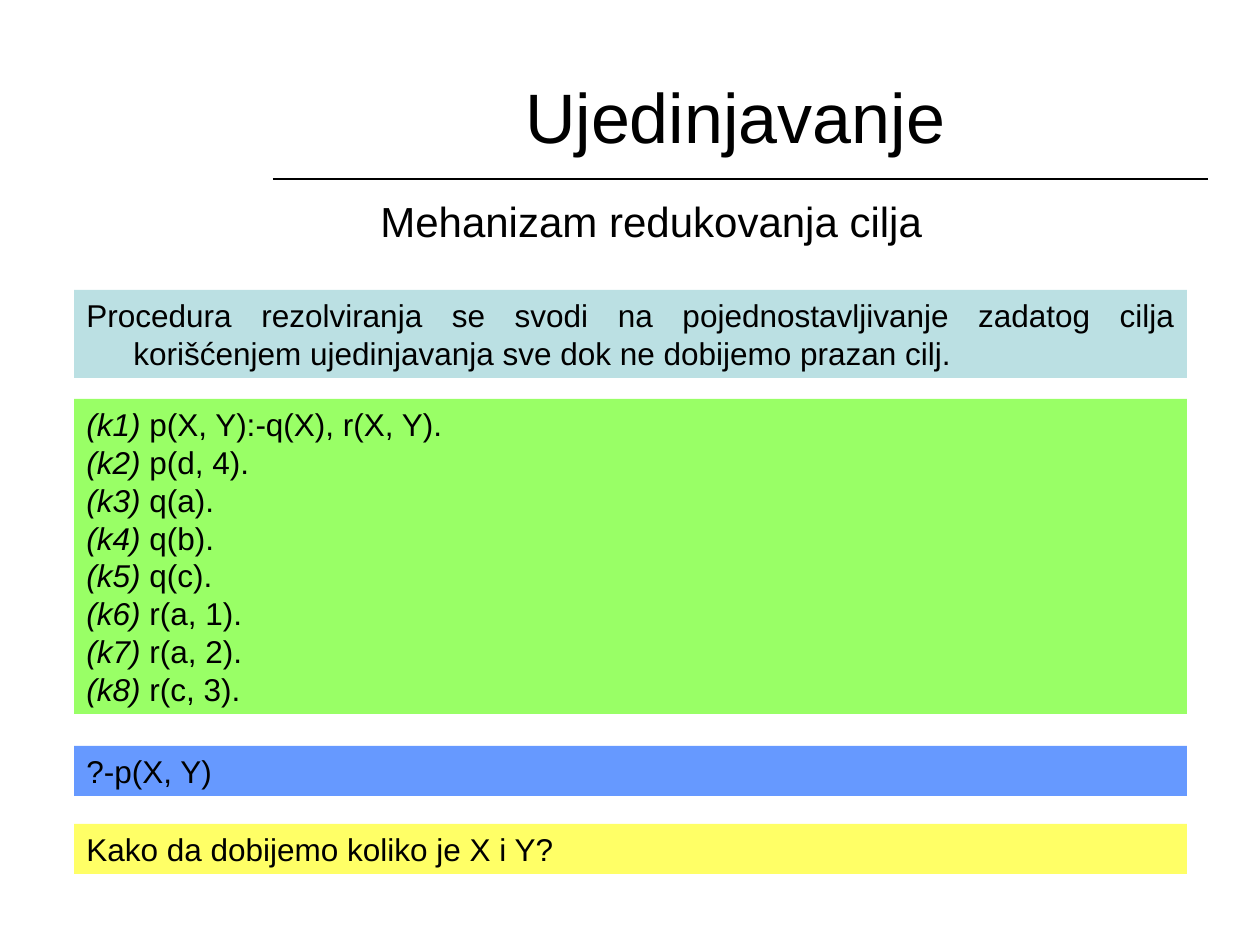
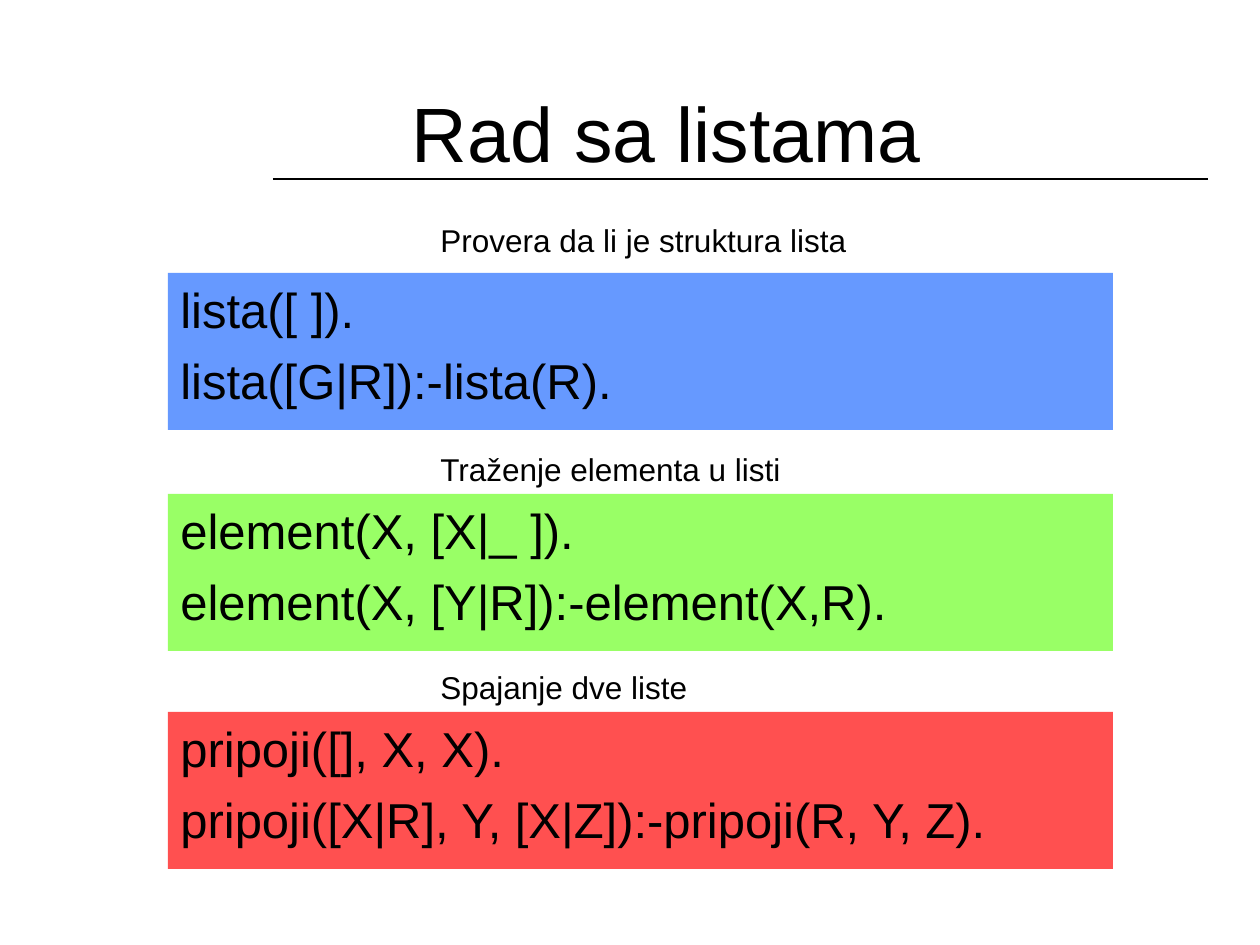
import pptx
import pptx.util
import pptx.dml.color
import pptx.enum.shapes
import pptx.enum.text
import pptx.oxml.ns
import lxml.etree

PX = 914400 / 126  # EMU in one px
FONT = "Arial"
HANG = 47
HUES = {
    "ink": "000000",
    "pale": "BBE0E3",
    "green": "99FF66",
    "blue": "6699FF",
    "yellow": "FFFF66",
    "red": "FF5050",
}
ALIGN = pptx.enum.text.PP_ALIGN
ANCHOR = pptx.enum.text.MSO_ANCHOR
RECT = pptx.enum.shapes.MSO_SHAPE.RECTANGLE
LINE = pptx.enum.shapes.MSO_CONNECTOR.STRAIGHT
color = pptx.dml.color.RGBColor.from_string


def emu(*sizes):
    return [round(size * PX) for size in sizes]


def write(shape, lines, size, align=ALIGN.LEFT, anchor=ANCHOR.TOP,
          hang=0, before=0, tag=""):
    """Fill a shape with lines; a tag puts an italic number before each."""
    frame = shape.text_frame
    frame.word_wrap = True
    frame.auto_size = pptx.enum.text.MSO_AUTO_SIZE.NONE
    frame.vertical_anchor = anchor
    for num, line in enumerate(lines, 1):
        par = frame.paragraphs[0] if num == 1 else frame.add_paragraph()
        if tag:
            label = par.add_run()
            label.text = f"({tag}{num})"
            label.font.italic = True
            line = " " + line
        par.add_run().text = line
        par.alignment = align
        par.space_before = pptx.util.Pt(before)
        par.font.name = FONT
        par.font.size = pptx.util.Pt(size)
        par.font.color.rgb = color(HUES["ink"])
        if hang:
            props = par._p.get_or_add_pPr()
            props.set("marL", str(emu(hang)[0]))
            props.set("indent", str(emu(-hang)[0]))


deck = pptx.Presentation()
deck.slide_width, deck.slide_height = emu(1260, 945)

# Titles and the rule below them
heads = [
    ("Ujedinjavanje", 40, (273, 53, 924, 126)),
    ("Rad sa listama", 44, (315, 53, 703, 158)),
]
slides = []
for name, size, place in heads:
    slide = deck.slides.add_slide(deck.slide_layouts[5])
    title = slide.shapes.title
    title.left, title.top, title.width, title.height = emu(*place)
    write(title, [name], size, ALIGN.CENTER, ANCHOR.MIDDLE)
    rule = slide.shapes.add_connector(LINE, *emu(273, 179, 1208, 179))
    rule.line.width = pptx.util.Pt(0.75)
    rule.line.color.rgb = color(HUES["ink"])
    lxml.etree.SubElement(rule._element.spPr, pptx.oxml.ns.qn("a:effectLst"))
    slides.append(slide)
goal, lists = slides

# Goal reduction: subtitle and four bands
sub = goal.shapes.add_textbox(*emu(368, 189, 703, 63))
write(sub, ["Mehanizam redukovanja cilja"], 24)

facts = ["p(X, Y):-q(X), r(X, Y).", "p(d, 4).", "q(a).", "q(b).", "q(c).",
         "r(a, 1).", "r(a, 2).", "r(c, 3)."]
rules = ["Procedura rezolviranja se svodi na pojednostavljivanje zadatog cilja "
         "korišćenjem ujedinjavanja sve dok ne dobijemo prazan cilj."]
bands = [
    (290, 88, "pale", rules, {"align": ALIGN.JUSTIFY, "hang": HANG}),
    (399, 315, "green", facts, {"tag": "k"}),
    (746, 50, "blue", ["?-p(X, Y)"], {}),
    (824, 50, "yellow", ["Kako da dobijemo koliko je X i Y?"], {}),
]
for top, high, hue, lines, style in bands:
    band = goal.shapes.add_shape(RECT, *emu(74, top, 1113, high))
    band.shadow.inherit = False
    band.fill.solid()
    band.fill.fore_color.rgb = color(HUES[hue])
    band.line.fill.background()
    write(band, lines, 18, anchor=ANCHOR.MIDDLE, **style)

# List predicates: a caption above each code block
blocks = [
    (215, 273, "blue", "Provera da li je struktura lista",
     ["lista([ ]).", "lista([G|R]):-lista(R)."]),
    (444, 494, "green", "Traženje elementa u listi",
     ["element(X, [X|_ ]).", "element(X, [Y|R]):-element(X,R)."]),
    (662, 712, "red", "Spajanje dve liste",
     ["pripoji([], X, X).", "pripoji([X|R], Y, [X|Z]):-pripoji(R, Y, Z)."]),
]
for head, top, hue, label, lines in blocks:
    block = lists.shapes.add_shape(RECT, *emu(168, top, 945, 157))
    block.shadow.inherit = False
    block.fill.solid()
    block.fill.fore_color.rgb = color(HUES[hue])
    block.line.fill.background()
    write(block, lines, 28, hang=HANG, before=7)
    note = lists.shapes.add_textbox(*emu(428, head, 431, 50))
    write(note, [label], 18)

deck.save("out.pptx")
